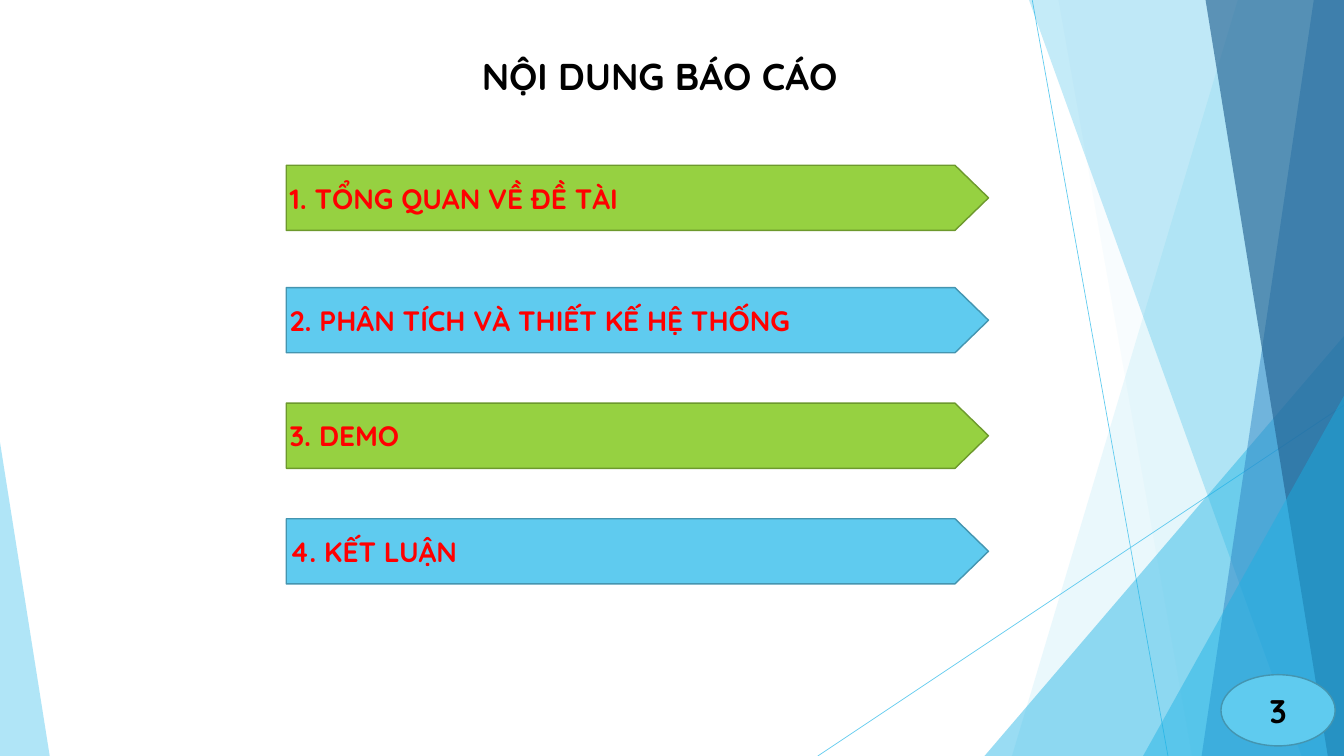
"""Builds the table-of-contents slide of the report deck."""
from lxml.etree import SubElement
from pptx import Presentation
from pptx.dml.color import RGBColor
from pptx.enum.shapes import MSO_CONNECTOR, MSO_SHAPE
from pptx.enum.text import MSO_ANCHOR, MSO_AUTO_SIZE, PP_ALIGN
from pptx.oxml.ns import qn
from pptx.util import Pt

SKY = RGBColor(0x5F, 0xCB, 0xEF)
SKY_EDGE = RGBColor(0x44, 0x95, 0xB0)
GREEN = RGBColor(0x96, 0xD1, 0x41)
GREEN_EDGE = RGBColor(0x6D, 0x99, 0x2D)
CYAN = RGBColor(0x17, 0xB0, 0xE4)
BLUE = RGBColor(0x2E, 0x83, 0xC3)
NAVY = RGBColor(0x23, 0x62, 0x92)
RED = RGBColor(0xFF, 0x00, 0x00)
BLACK = RGBColor(0x00, 0x00, 0x00)

FONT = "Quicksand"
WIDTH, HEIGHT = 1440, 810

TITLE = "NỘI DUNG BÁO CÁO"
PAGE_NUMBER = "3"
SECTIONS = [
    ("1. TỔNG QUAN VỀ ĐỀ TÀI", 177.1, GREEN, GREEN_EDGE),
    ("2. PHÂN TÍCH VÀ THIẾT KẾ HỆ THỐNG", 308.2, SKY, SKY_EDGE),
    ("3. DEMO", 432, GREEN, GREEN_EDGE),
    ("4. KẾT LUẬN", 555.8, SKY, SKY_EDGE),
]
RAYS = [
    ((1106, 0), (1251.4, HEIGHT)),
    ((WIDTH, 434.2), (876.2, HEIGHT)),
]
RIGHT_EDGE = [(WIDTH, 0), (WIDTH, HEIGHT)]
CORNER = (WIDTH, HEIGHT)
FACETS = [
    ([(1326.2, 0), *RIGHT_EDGE, (1084.3, HEIGHT)], SKY, 13),
    ([(1134, 0), *RIGHT_EDGE, (1277.3, HEIGHT)], SKY, 4),
    ([(1054.8, HEIGHT), (WIDTH, 360), CORNER], CYAN, 44),
    ([(1102.5, 0), *RIGHT_EDGE, (1394.6, HEIGHT)], CYAN, 25),
    ([(1407.6, 0), *RIGHT_EDGE, (1287.4, HEIGHT)], BLUE, 49),
    ([(1291.7, 0), *RIGHT_EDGE, (1422.7, HEIGHT)], NAVY, 64),
    ([(1224.7, HEIGHT), (WIDTH, 424.1), CORNER], CYAN, 44),
    ([(0, HEIGHT), (0, 473.8), (53.3, HEIGHT)], SKY, 49),
]


def write(shape, text, size, color, align=PP_ALIGN.LEFT,
          anchor=MSO_ANCHOR.MIDDLE, inset=0.0, fit=MSO_AUTO_SIZE.NONE):
    frame = shape.text_frame
    frame.word_wrap = True
    frame.auto_size = fit
    frame.vertical_anchor = anchor
    frame.margin_left = frame.margin_right = Pt(inset)
    frame.margin_top = frame.margin_bottom = Pt(inset)
    para = frame.paragraphs[0]
    para.alignment = align
    para.line_spacing = Pt(size * 1.2)
    para.space_before = Pt(0)
    span = para.add_run()
    span.text = text
    span.font.name = FONT
    span.font.size = Pt(size)
    span.font.bold = True
    span.font.color.rgb = color


def add_ray(page, start, end):
    ray = page.shapes.add_connector(
        MSO_CONNECTOR.STRAIGHT, *map(Pt, (*start, *end)))
    ray.line.color.rgb = SKY
    ray.line.width = Pt(0.75)
    SubElement(ray._element.spPr, qn("a:effectLst"))


def add_facet(page, corners, color, opacity):
    first, *rest = [(Pt(x), Pt(y)) for x, y in corners]
    builder = page.shapes.build_freeform(*first)
    builder.add_line_segments(rest, close=True)
    facet = builder.convert_to_shape()
    facet.shadow.inherit = False
    facet.line.fill.background()
    facet.fill.solid()
    facet.fill.fore_color.rgb = color
    tint = facet._element.spPr.find(qn("a:solidFill"))[0]
    SubElement(tint, qn("a:alpha"), val=str(opacity * 1000))


def add_badge(page, kind, box, fill, edge):
    badge = page.shapes.add_shape(kind, *map(Pt, box))
    badge.shadow.inherit = False
    badge.fill.solid()
    badge.fill.fore_color.rgb = fill
    badge.line.color.rgb = edge
    badge.line.width = Pt(1.5)
    return badge


def main():
    deck = Presentation()
    deck.slide_width, deck.slide_height = Pt(WIDTH), Pt(HEIGHT)
    page = deck.slides.add_slide(deck.slide_layouts[5])

    for start, end in RAYS:
        add_ray(page, start, end)
    for corners, color, opacity in FACETS:
        add_facet(page, corners, color, opacity)

    title = page.shapes.title
    title.left, title.top, title.width, title.height = map(
        Pt, (516.2, 56.9, 407.5, 48))
    write(title, TITLE, 40, BLACK, anchor=MSO_ANCHOR.TOP,
          fit=MSO_AUTO_SIZE.SHAPE_TO_FIT_TEXT)

    for text, top, fill, edge in SECTIONS:
        arrow = add_badge(page, MSO_SHAPE.PENTAGON,
                          (306.7, top, 752.4, 69.8), fill, edge)
        arrow.adjustments[0] = 0.515
        write(arrow, text, 30, RED, align=PP_ALIGN.JUSTIFY, inset=3.6)

    oval = add_badge(page, MSO_SHAPE.OVAL, (1308.2, 722.9, 122.4, 76.3),
                     SKY, SKY_EDGE)
    write(oval, PAGE_NUMBER, 35, BLACK, align=PP_ALIGN.CENTER, inset=3.6)

    deck.save("out.pptx")


if __name__ == "__main__":
    main()
